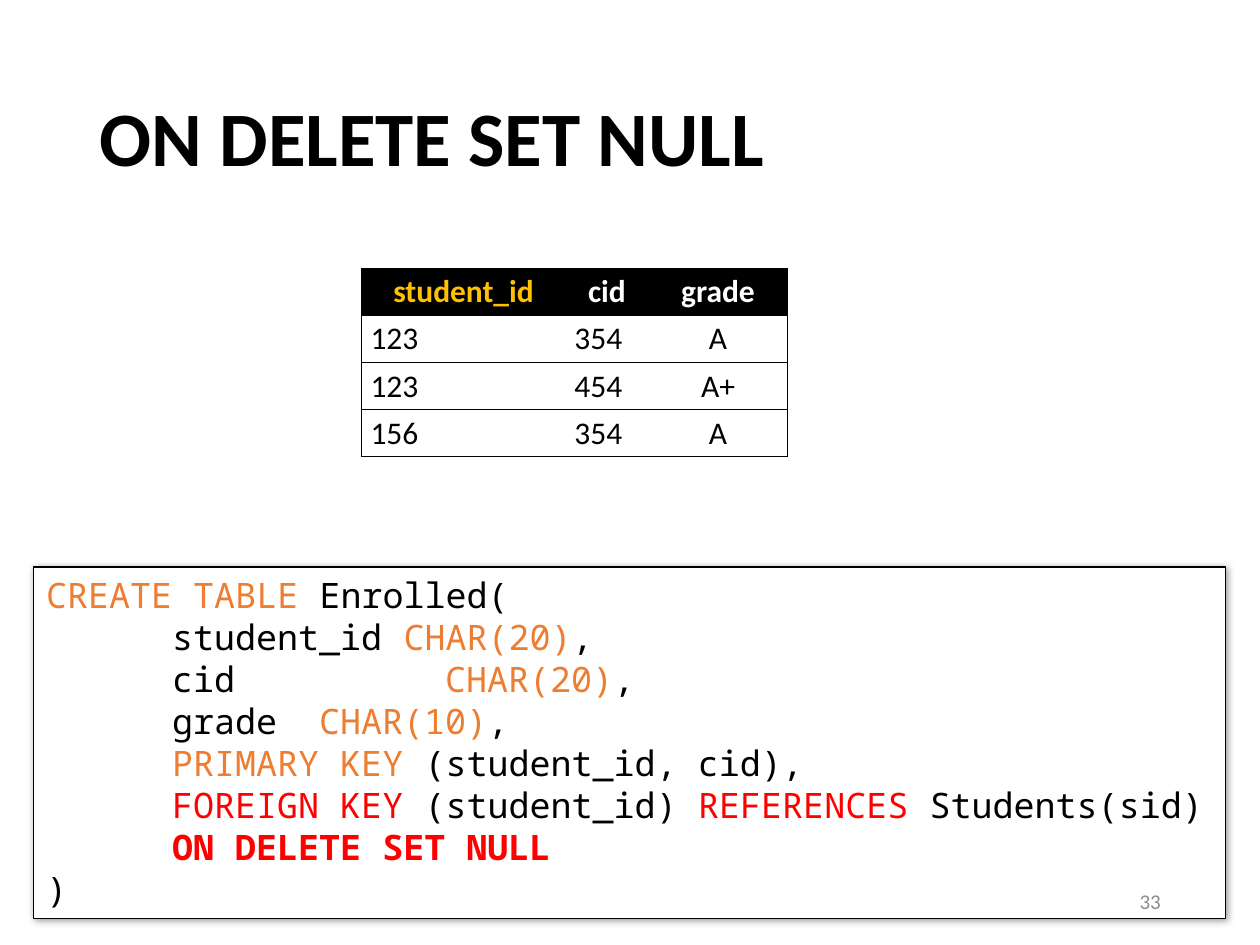
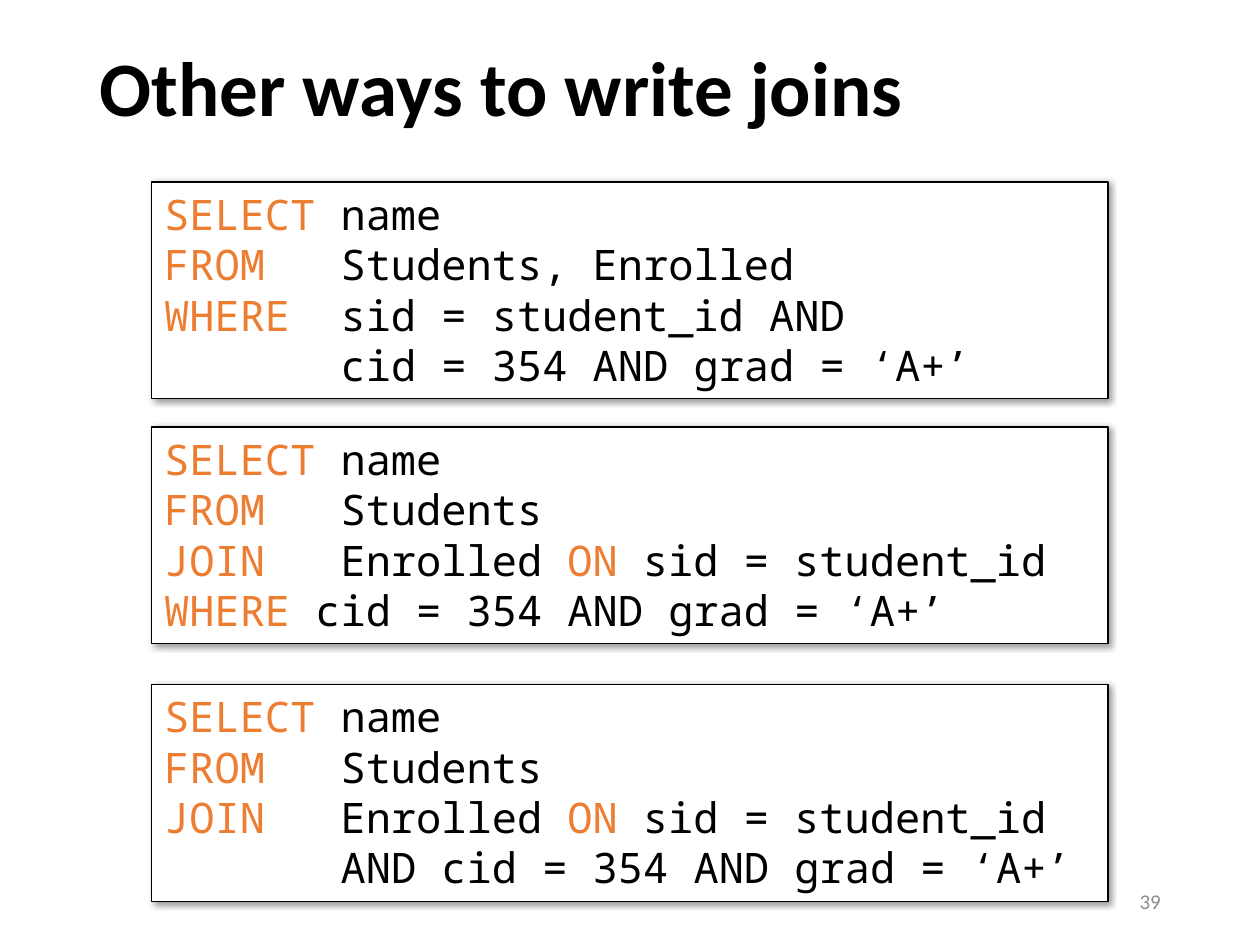
from lxml import etree
from pptx import Presentation
from pptx.dml.color import RGBColor
from pptx.enum import shapes, text
from pptx.oxml import ns
from pptx.util import Cm, Pt

BLACK, WHITE, GREY = "000000", "FFFFFF", "8C8C8C"
ORANGE, RED, GOLD = "ED7D31", "FF0000", "FFC000"
SANS, MONO = "Calibri", "Noto Sans Mono"
ACTION = "ON DELETE SET NULL"
RED_WORDS = ("FOREIGN KEY", "REFERENCES", ACTION)


def style(font, size, color, name=SANS, bold=False):
    font.name, font.size, font.bold = name, Pt(size), bold
    font.color.rgb = RGBColor.from_string(color)


def add_xml(parent, tag, **attrs):
    node = etree.SubElement(parent, ns.qn(tag))
    for key, value in attrs.items():
        node.set(key, str(value))
    return node


# In the code, every second part between bars is a keyword.
CREATE = """|CREATE TABLE| Enrolled(
\tstudent_id |CHAR(20)|,
\tcid\t\t |CHAR(20)|,
\tgrade\t |CHAR(10)|,
\t|PRIMARY KEY| (student_id, cid),
\t|FOREIGN KEY| (student_id) |REFERENCES| Students(sid)
\t|ON DELETE SET NULL|
)"""
COMMA = """|SELECT| name
|FROM|   Students, Enrolled
|WHERE|  sid = student_id AND
       cid = 354 AND grad = ‘A+’"""
JOIN = """|SELECT| name
|FROM|   Students
|JOIN|   Enrolled |ON| sid = student_id
"""
JOIN_WHERE = JOIN + "|WHERE| cid = 354 AND grad = ‘A+’"
JOIN_AND = JOIN + "       AND cid = 354 AND grad = ‘A+’"

# Title, title top, page number, code size, code boxes (left, top, width, height, code)
PAGES = [
    (ACTION, 1.02, "33", 20, [(0.68, 11.43, 24.03, 7.09, CREATE)]),
    ("Other ways to write joins", 0, "39", 24, [
        (3.06, 3.67, 19.28, 4.37, COMMA),
        (3.06, 8.61, 19.28, 4.37, JOIN_WHERE),
        (3.06, 13.8, 19.28, 4.37, JOIN_AND),
    ]),
]

prs = Presentation()
prs.slide_width, prs.slide_height = Cm(25.4), Cm(19.05)

for head, top, number, size, boxes in PAGES:
    slide = prs.slides.add_slide(prs.slide_layouts[5])
    title = slide.shapes.title
    title.left, title.top, title.width, title.height = Cm(1.75), Cm(top), Cm(21.9), Cm(3.68)
    title.text_frame.text = head
    title.text_frame.vertical_anchor = text.MSO_ANCHOR.MIDDLE
    para = title.text_frame.paragraphs[0]
    para.alignment, para.line_spacing = text.PP_ALIGN.LEFT, 0.9
    style(para.font, 44, BLACK, bold=True)

    for left, y, width, height, code in boxes:
        box = slide.shapes.add_shape(shapes.MSO_SHAPE.RECTANGLE,
                                     Cm(left), Cm(y), Cm(width), Cm(height))
        box.fill.solid()
        box.fill.fore_color.rgb = RGBColor.from_string(WHITE)
        box.line.color.rgb = RGBColor.from_string(BLACK)
        box.line.width = Pt(0.75)
        box.shadow.inherit = False
        effects = box.element.spPr.find(ns.qn("a:effectLst"))
        shadow = add_xml(effects, "a:outerShdw", blurRad=Pt(4), dist=Pt(1),
                         dir=2700000, algn="tl", rotWithShape=0)
        tint = add_xml(shadow, "a:srgbClr", val=BLACK)
        add_xml(tint, "a:alpha", val=40000)

        frame = box.text_frame
        frame.word_wrap = True
        frame.auto_size = text.MSO_AUTO_SIZE.SHAPE_TO_FIT_TEXT
        frame.vertical_anchor = text.MSO_ANCHOR.TOP
        for i, line in enumerate(code.split("\n")):
            para = frame.add_paragraph() if i else frame.paragraphs[0]
            para.alignment = text.PP_ALIGN.LEFT
            if "\t" in line:
                tabs = add_xml(para._p.get_or_add_pPr(), "a:tabLst")
                for stop in (1, 2, 3):
                    add_xml(tabs, "a:tab", pos=Cm(2.54 * stop), algn="l")
            for j, part in enumerate(line.split("|")):
                if part:
                    run = para.add_run()
                    run.text = part
                    color = RED if part in RED_WORDS else ORANGE if j % 2 else BLACK
                    style(run.font, size, color, MONO, part == ACTION)

    page = slide.shapes.add_textbox(Cm(17.93), Cm(17.65), Cm(5.72), Cm(1.02)).text_frame
    page.word_wrap = True
    page.vertical_anchor = text.MSO_ANCHOR.MIDDLE
    page.text = number
    page.paragraphs[0].alignment = text.PP_ALIGN.RIGHT
    style(page.paragraphs[0].font, 12, GREY)

# Enrolled table on the first slide
ROWS = [("student_id", "cid", "grade"),
        ("123", "354", "A"), ("123", "454", "A+"), ("156", "354", "A")]
WIDTHS = (4.11, 1.67, 2.81)
table = prs.slides[0].shapes.add_table(
    len(ROWS), len(WIDTHS), Cm(7.29), Cm(5.41), Cm(sum(WIDTHS)), Cm(3.8)).table
table.first_row = table.horz_banding = False
for col, width in zip(table.columns, WIDTHS):
    col.width = Cm(width)
for r, row in enumerate(ROWS):
    table.rows[r].height = Cm(0.95)
    for c, word in enumerate(row):
        cell = table.cell(r, c)
        cell.text = word
        cell.margin_left = cell.margin_right = Cm(0.18)
        cell.margin_top = cell.margin_bottom = Cm(0.09)
        para = cell.text_frame.paragraphs[0]
        centred = r == 0 or c == 2
        para.alignment = text.PP_ALIGN.CENTER if centred else text.PP_ALIGN.LEFT
        color = BLACK if r else WHITE if c else GOLD
        style(para.font, 18, color, bold=r == 0)
        props = cell._tc.get_or_add_tcPr()
        drawn = {"L": c == 0, "R": c == len(WIDTHS) - 1, "T": True, "B": True}
        for side, shown in drawn.items():
            edge = add_xml(props, "a:ln" + side, w=Pt(0.5))
            if shown:
                add_xml(add_xml(edge, "a:solidFill"), "a:srgbClr", val=BLACK)
            else:
                add_xml(edge, "a:noFill")
        cell.fill.solid()
        cell.fill.fore_color.rgb = RGBColor.from_string(WHITE if r else BLACK)

prs.save("out.pptx")
